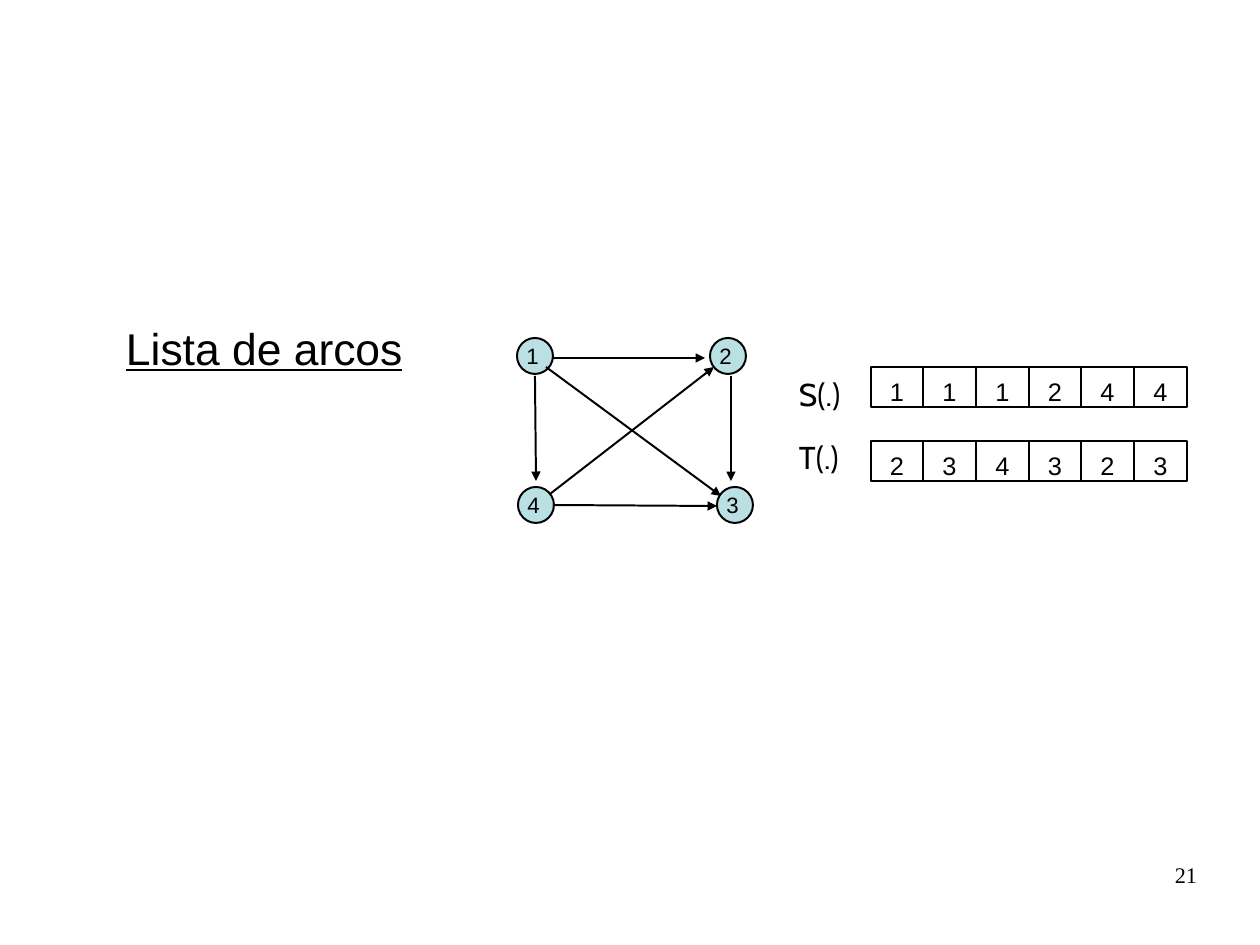
from dataclasses import dataclass

from lxml.etree import SubElement
from pptx import Presentation
from pptx.dml.color import RGBColor
from pptx.enum.shapes import MSO_CONNECTOR as Connector, MSO_SHAPE as Shape
from pptx.enum.text import MSO_ANCHOR as Anchor, MSO_AUTO_SIZE as AutoSize, PP_ALIGN as Align
from pptx.oxml.ns import qn
from pptx.util import Emu, Pt

EMU_PER_PX = 8000  # 1260 by 945 px make 28 by 21 cm


@dataclass(frozen=True)
class Theme:
    ink: str = "000000"
    node: str = "BBE0E3"
    sans: str = "Arial"
    label_font: str = "Cabin"
    number_font: str = "Times New Roman"
    heading: float = 28
    label: float = 19.9
    cell: float = 16
    small: float = 14
    stroke: float = 1.25


THEME = Theme()

NODE_SIZE = 36
NODES = {"1": (517, 338), "2": (710, 338), "3": (717, 487), "4": (518, 487)}
ARCS = [  # tail x, y and head x, y
    (553, 358, 705, 358),  # 1 to 2
    (546, 367, 721, 496),  # 1 to 3
    (535, 376, 536, 481),  # 1 to 4
    (731, 376, 731, 481),  # 2 to 3
    (550, 494, 714, 367),  # 4 to 2
    (553, 505, 717, 506),  # 4 to 3
]
# Label, label top, row top, end nodes of the arcs
ARC_ROWS = [("S(.)", 369, 367, "111244"), ("T(.)", 432, 441, "234323")]
LABEL_LEFT, ROW_LEFT, ROW_WIDTH, ROW_HEIGHT = 788, 871, 316, 40


def px(*lengths):
    return [Emu(length * EMU_PER_PX) for length in lengths]


def set_text(frame, text, size, font, align=Align.LEFT, underline=None):
    frame.text = text
    paragraph = frame.paragraphs[0]
    paragraph.alignment = align
    style = paragraph.runs[0].font
    style.size, style.name, style.underline = Pt(size), font, underline
    style.color.rgb = RGBColor.from_string(THEME.ink)


def set_insets(frame, left, top, right, bottom):
    (frame.margin_left, frame.margin_top,
     frame.margin_right, frame.margin_bottom) = px(left, top, right, bottom)


def set_stroke(line):
    line.color.rgb = RGBColor.from_string(THEME.ink)
    line.width = Pt(THEME.stroke)


def add_heading(slide, text, left, top, width, height):
    slide.shapes.title.element.getparent().remove(slide.shapes.title.element)
    body = slide.placeholders[1]
    body.left, body.top, body.width, body.height = px(left, top, width, height)
    frame = body.text_frame
    frame.auto_size = AutoSize.NONE
    set_insets(frame, 11, 6, 11, 6)
    set_text(frame, text, THEME.heading, THEME.sans, underline=True)
    frame.paragraphs[0].space_before = Pt(7)
    # No bullet and no hanging indent
    properties = frame.paragraphs[0]._p.get_or_add_pPr()
    properties.set("marL", "0")
    properties.set("indent", "0")
    SubElement(properties, qn("a:buNone"))


def add_label(slide, text, box, size, font, align=Align.LEFT, insets=(11, 6, 11, 6)):
    frame = slide.shapes.add_textbox(*px(*box)).text_frame
    frame.word_wrap = True
    set_insets(frame, *insets)
    set_text(frame, text, size, font, align)


def add_outlined(slide, kind, box, text, size, anchor, insets):
    shape = slide.shapes.add_shape(kind, *px(*box))
    shape.shadow.inherit = False
    shape.fill.background()
    set_stroke(shape.line)
    frame = shape.text_frame
    frame.word_wrap = True
    frame.vertical_anchor = anchor
    set_insets(frame, *insets)
    set_text(frame, text, size, THEME.sans, Align.CENTER)
    return shape


def add_node(slide, name, left, top):
    node = add_outlined(slide, Shape.OVAL, (left, top, NODE_SIZE, NODE_SIZE), name,
                        THEME.small, Anchor.MIDDLE, (0, 0, 5, 0))
    node.fill.solid()
    node.fill.fore_color.rgb = RGBColor.from_string(THEME.node)


def add_arc(slide, *ends):
    arc = slide.shapes.add_connector(Connector.STRAIGHT, *px(*ends))
    set_stroke(arc.line)
    SubElement(arc.line._get_or_add_ln(), qn("a:tailEnd"), type="triangle")
    SubElement(arc.element.spPr, qn("a:effectLst"))


def add_arc_row(slide, values, top):
    edges = [ROW_LEFT + ROW_WIDTH * step // len(values)
             for step in range(len(values) + 1)]
    for value, left, right in zip(values, edges, edges[1:]):
        add_outlined(slide, Shape.RECTANGLE, (left, top, right - left, ROW_HEIGHT),
                     value, THEME.cell, Anchor.TOP, (11, 9, 11, 0))


def main():
    deck = Presentation()
    deck.slide_width, deck.slide_height = px(1260, 945)
    slide = deck.slides.add_slide(deck.slide_layouts[1])

    add_heading(slide, "Lista de arcos", 115, 315, 368, 130)

    # Directed graph
    for name, corner in NODES.items():
        add_node(slide, name, *corner)
    for ends in ARCS:
        add_arc(slide, *ends)

    # Arc list: sources and targets
    for label, label_top, row_top, values in ARC_ROWS:
        add_label(slide, label, (LABEL_LEFT, label_top, 83, 55),
                  THEME.label, THEME.label_font)
        add_arc_row(slide, values, row_top)

    # Page number
    add_label(slide, "21", (903, 861, 294, 65), THEME.small,
              THEME.number_font, Align.RIGHT, (0, 0, 0, 0))

    deck.save("out.pptx")


if __name__ == "__main__":
    main()
